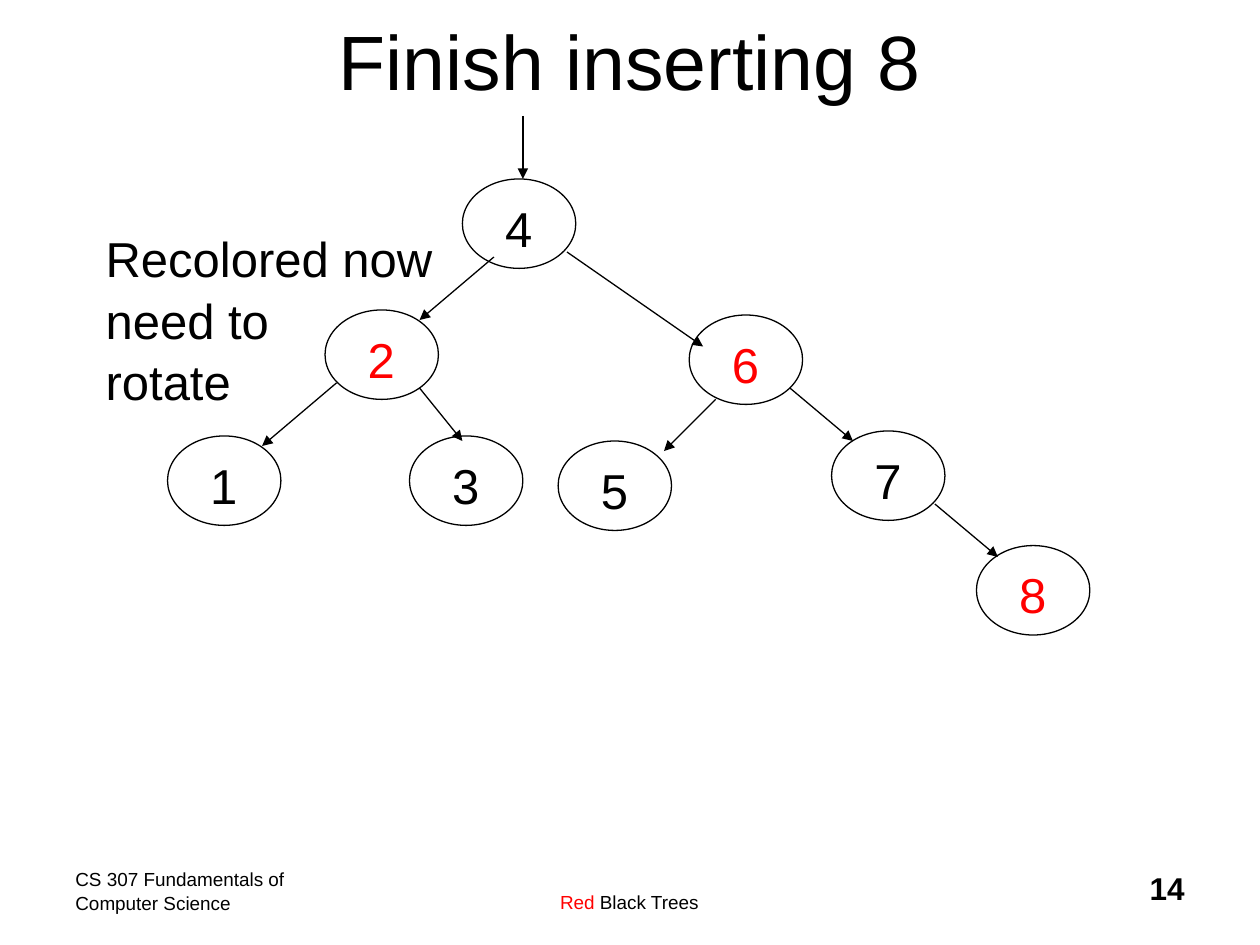
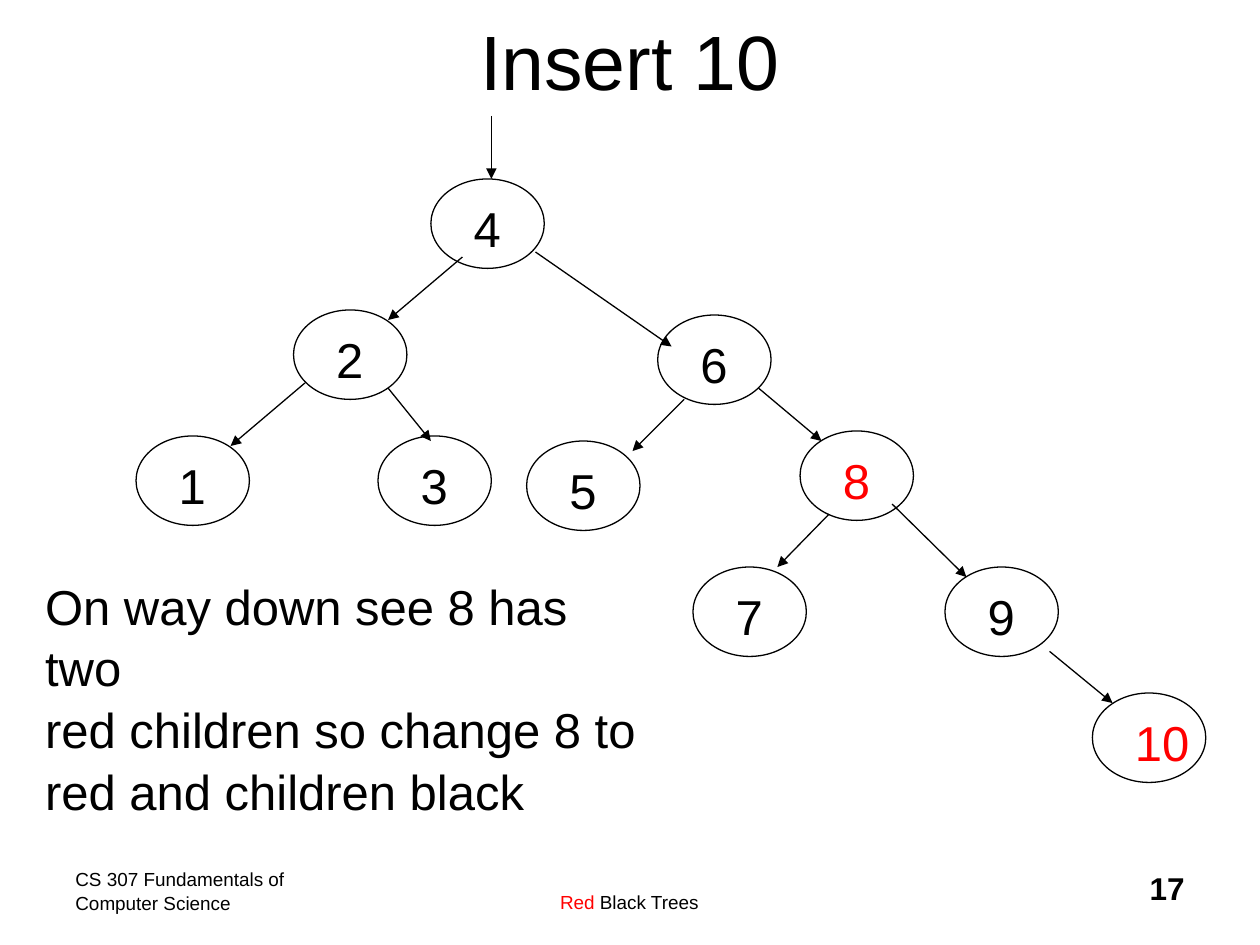
import lxml.etree
import pptx
import pptx.dml.color
import pptx.enum.shapes
import pptx.enum.text
import pptx.oxml.ns
import pptx.util

Inches = pptx.util.Inches
Align = pptx.enum.text.PP_ALIGN
Anchor = pptx.enum.text.MSO_ANCHOR

COLORS = {"black": "000000", "red": "FF0000"}
FONT = "Arial"
NODE_WIDTH, NODE_HEIGHT = 0.9, 0.71
SHARED_NODES = {"4": (3.67, 1.42), "2": (2.58, 2.46), "3": (3.25, 3.46),
                "6": (5.47, 2.5), "5": (4.43, 3.5), "1": (1.33, 3.46)}
SHARED_ARROWS = [
    ((4.15, 0.92), (4.15, 1.42)),
    ((3.92, 2.04), (3.33, 2.54)),
    ((4.5, 2), (5.58, 2.75)),
    ((5.68, 3.17), (5.27, 3.58)),
    ((6.27, 3.08), (6.77, 3.5)),
    ((2.67, 3.04), (2.08, 3.54)),
    ((3.33, 3.08), (3.67, 3.5)),
]


def color(name):
    """Return the named palette colour."""
    return pptx.dml.color.RGBColor.from_string(COLORS[name])


def add_text(shapes, text, left, top, width, height, *, size=28, fill="black", bold=False,
             align=Align.LEFT, anchor=Anchor.TOP, grow=False, bottom_inset=0.05):
    """Add a text box; text is a string or a list of (string, colour) runs."""
    box = shapes.add_textbox(Inches(left), Inches(top), Inches(width), Inches(height))
    frame = box.text_frame
    frame.word_wrap = not grow
    if grow:
        frame.auto_size = pptx.enum.text.MSO_AUTO_SIZE.SHAPE_TO_FIT_TEXT
    frame.vertical_anchor = anchor
    frame.margin_bottom = Inches(bottom_inset)
    paragraph = frame.paragraphs[0]
    paragraph.alignment = align
    paragraph.line_spacing = 1.05
    runs = [(text, fill)] if isinstance(text, str) else text
    for words, run_fill in runs:
        for index, line in enumerate(words.split("\n")):
            if index:
                paragraph.add_line_break()
            run = paragraph.add_run()
            run.text = line
            run.font.name = FONT
            run.font.size = pptx.util.Pt(size)
            run.font.bold = bold
            run.font.color.rgb = color(run_fill)


def add_node(slide, key, left, top, fill):
    """Add a tree node: an outlined ellipse grouped with its key."""
    shapes = slide.shapes.add_group_shape().shapes
    ellipse = shapes.add_shape(pptx.enum.shapes.MSO_SHAPE.OVAL, Inches(left), Inches(top),
                               Inches(NODE_WIDTH), Inches(NODE_HEIGHT))
    ellipse.shadow.inherit = False
    ellipse.fill.background()
    ellipse.line.color.rgb = color("black")
    ellipse.line.width = pptx.util.Pt(0.75)
    add_text(shapes, key, left + 0.24, top + 0.08, 0.19 + 0.22 * len(key), 0.57,
             fill=fill, grow=True)


def add_arrow(slide, start, end):
    """Add a thin black arrow from start to end."""
    points = [Inches(value) for value in (*start, *end)]
    arrow = slide.shapes.add_connector(pptx.enum.shapes.MSO_CONNECTOR.STRAIGHT, *points)
    arrow.line.color.rgb = color("black")
    arrow.line.width = pptx.util.Pt(0.75)
    qn = pptx.oxml.ns.qn
    properties = arrow.line._get_or_add_ln()
    lxml.etree.SubElement(properties, qn("a:tailEnd"), type="triangle")
    lxml.etree.SubElement(properties.getparent(), qn("a:effectLst"))


def add_tree(slide, extra_nodes, extra_arrows, red_keys, shift=0):
    """Draw the shared tree, moved sideways by shift, and the slide's own additions."""
    nodes = {key: (left + shift, top) for key, (left, top) in SHARED_NODES.items()}
    for key, (left, top) in {**nodes, **extra_nodes}.items():
        add_node(slide, key, left, top, "red" if key in red_keys else "black")
    arrows = [((x1 + shift, y1), (x2 + shift, y2)) for (x1, y1), (x2, y2) in SHARED_ARROWS]
    for start, end in arrows + extra_arrows:
        add_arrow(slide, start, end)


def add_tree_slide(presentation, title, number):
    """Add a blank slide with its footers and title."""
    slide = presentation.slides.add_slide(presentation.slide_layouts[6])
    shapes = slide.shapes
    add_text(shapes, "CS 307 Fundamentals of Computer Science", 0.5, 6.83, 2.5, 0.5, size=10.8)
    add_text(shapes, [("Red", "red"), (" Black Trees", "black")], 3.08, 6.83, 3.83, 0.5,
             size=10.8, align=Align.CENTER, anchor=Anchor.BOTTOM, bottom_inset=0.08)
    add_text(shapes, number, 7.42, 6.83, 2.08, 0.5, size=18, bold=True, align=Align.RIGHT)
    add_text(shapes, title, 0.75, -0.17, 8.5, 1.25, size=44,
             align=Align.CENTER, anchor=Anchor.MIDDLE)
    return slide


def main():
    """Build both red black tree slides."""
    presentation = pptx.Presentation()
    presentation.slide_width, presentation.slide_height = Inches(10), Inches(7.5)

    slide = add_tree_slide(presentation, "Finish inserting 8", "14")
    add_tree(slide, {"7": (6.6, 3.42), "8": (7.75, 4.33)},
             [((7.42, 4), (7.92, 4.42))], red_keys={"2", "6", "8"})
    add_text(slide.shapes, "Recolored now\nneed to\nrotate", 0.74, 1.74, 2.79, 1.5, grow=True)

    slide = add_tree_slide(presentation, "Insert 10", "17")
    add_tree(slide,
             {"8": (6.35, 3.42), "7": (5.5, 4.5), "9": (7.5, 4.5), "10": (8.67, 5.5)},
             [((6.58, 4.08), (6.17, 4.5)), ((7.08, 4), (7.67, 4.58)),
              ((8.33, 5.17), (8.83, 5.58))],
             red_keys={"8", "10"}, shift=-0.25)
    add_text(slide.shapes,
             "On way down see 8 has two\nred children so change 8 to\nred and children black",
             0.26, 4.5, 5.05, 1.5, grow=True)

    presentation.save("out.pptx")


if __name__ == "__main__":
    main()
